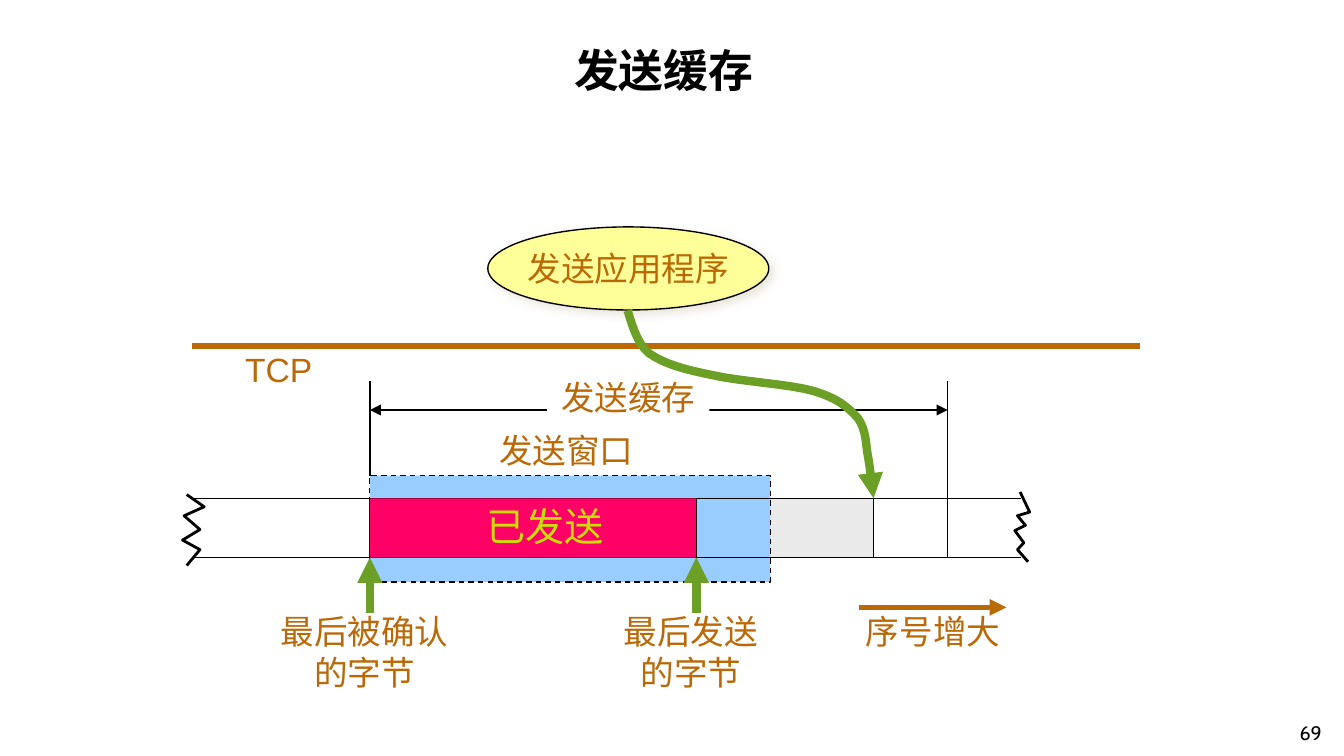
import lxml.etree
import pptx
import pptx.dml.color
import pptx.enum.dml
import pptx.enum.shapes
import pptx.enum.text
import pptx.oxml.ns
import pptx.util

Cm = pptx.util.Cm
Pt = pptx.util.Pt
SHAPE = pptx.enum.shapes.MSO_SHAPE
ALIGN = pptx.enum.text.PP_ALIGN
BLACK, BROWN, GREEN = "000000", "BA6906", "6B9F25"
LEFT, RIGHT = 3.63, 19.3
ACKED, SENT, FILLED, END = 6.99, 13.16, 16.51, 17.91
TOP, BASE = 9.42, 10.54
FLOW = [(11.86, 5.87), (11.91, 5.99), (12.01, 6.48), (12.27, 6.68),
        (12.55, 6.88), (12.95, 6.99), (13.46, 7.09),
        (13.97, 7.21), (14.91, 7.26), (15.37, 7.39),
        (15.82, 7.52), (16.03, 7.7), (16.21, 7.9),
        (16.38, 8.13), (16.36, 8.41), (16.41, 8.66),
        (16.46, 8.92), (16.48, 9.27), (FILLED, TOP)]
TEARS = [
    [(19.28, 9.3), (19.46, 9.68), (19.23, 9.75), (19.38, 9.93),
     (19.18, 10.03), (19.35, 10.26), (19.23, 10.39), (19.43, 10.62)],
    [(3.53, 9.35), (3.86, 9.58), (3.48, 9.75), (3.78, 10.01),
     (3.45, 10.21), (3.78, 10.39), (3.53, 10.69)],
]


def color(code):
    """Turn a hex string into a colour."""
    return pptx.dml.color.RGBColor.from_string(code)


def add(parent, tag, **attrs):
    """Append a drawing element to a parent element."""
    node = lxml.etree.SubElement(parent, pptx.oxml.ns.qn(tag))
    for key, value in attrs.items():
        node.set(key, str(value))
    return node


def stroke(line, tint, width, ends=()):
    """Set colour, width and arrowheads of a line."""
    line.color.rgb = color(tint)
    line.width = Pt(width)
    for end in ends:
        add(line.fill._xPr, f"a:{end}End", type="triangle")


def write(frame, text, size=18, font="Arial", tint=BROWN, bold=False,
          align=ALIGN.CENTER, wrap=False, middle=False, space=None):
    """Put formatted text into a text frame."""
    frame.text = text
    frame.word_wrap = wrap
    if middle:
        frame.vertical_anchor = pptx.enum.text.MSO_ANCHOR.MIDDLE
    for para in frame.paragraphs:
        para.alignment = align
        para.line_spacing = space
        for run in para.runs:
            run.font.size = Pt(size)
            run.font.name = font
            run.font.bold = bold
            run.font.color.rgb = color(tint)


def label(slide, text, x, y, wide, high=1.02, **form):
    """Add a text box."""
    box = slide.shapes.add_textbox(Cm(x), Cm(y), Cm(wide), Cm(high))
    write(box.text_frame, text, **form)
    return box


def block(slide, kind, x, y, wide, high, fill, edge=None):
    """Add a filled shape."""
    shape = slide.shapes.add_shape(kind, Cm(x), Cm(y), Cm(wide), Cm(high))
    shape.shadow.inherit = False
    shape.fill.solid()
    shape.fill.fore_color.rgb = color(fill)
    if edge:
        stroke(shape.line, edge, 0.75)
    else:
        shape.line.fill.background()
    return shape


def rule(slide, x1, y1, x2, y2, tint=BLACK, width=0.75, ends=()):
    """Add a straight line or arrow."""
    link = slide.shapes.add_connector(
        pptx.enum.shapes.MSO_CONNECTOR.STRAIGHT, Cm(x1), Cm(y1), Cm(x2), Cm(y2))
    stroke(link.line, tint, width, ends)
    add(link._element.spPr, "a:effectLst")


def trace(slide, points, tint, width, ends=()):
    """Add an open outline through points."""
    spots = [(Cm(x), Cm(y)) for x, y in points]
    build = slide.shapes.build_freeform(*spots[0])
    build.add_line_segments(spots[1:], close=False)
    shape = build.convert_to_shape()
    shape.shadow.inherit = False
    shape.fill.background()
    stroke(shape.line, tint, width, ends)


def curve(knots, steps=8):
    """Sample a chain of cubic curves."""
    points = [knots[0]]
    for i in range(0, len(knots) - 1, 3):
        for n in range(1, steps + 1):
            t = n / steps
            parts = ((1 - t) ** 3, 3 * t * (1 - t) ** 2, 3 * t * t * (1 - t), t ** 3)
            points.append(tuple(
                sum(p * knot[axis] for p, knot in zip(parts, knots[i:i + 4]))
                for axis in (0, 1)))
    return points


def shade(shape):
    """Give a shape a soft shadow."""
    effect = shape._element.spPr.find(pptx.oxml.ns.qn("a:effectLst"))
    drop = add(effect, "a:outerShdw", blurRad=Pt(5), dist=Pt(3), dir=2700000)
    tint = add(drop, "a:srgbClr", val="E3DED1")
    add(tint, "a:alpha", val=75000)


def head(slide):
    """Place the title and page number."""
    title = slide.shapes.title
    title.left, title.top, title.width, title.height = Cm(5.46), Cm(0.46), Cm(14.17), Cm(1.85)
    write(title.text_frame, "发送缓存", size=24, font="Times New Roman",
          tint=BLACK, bold=True, wrap=True, middle=True, space=0.9)
    label(slide, "69", 24.31, 13.51, 1.07, 0.76, size=10.5, font="Cabin",
          tint=BLACK, align=ALIGN.LEFT, wrap=True)


def buffer(slide):
    """Draw the byte stream with its window."""
    high = BASE - TOP
    block(slide, SHAPE.RECTANGLE, SENT, TOP, FILLED - SENT, high, "EAEAEA")
    window = block(slide, SHAPE.RECTANGLE, ACKED, 8.99, 7.57, 2.01, "99CCFF", BLACK)
    window.line.dash_style = pptx.enum.dml.MSO_LINE.DASH
    for y in (TOP, BASE):
        rule(slide, LEFT, y, RIGHT, y)
    for x in (ACKED, SENT, FILLED):
        rule(slide, x, TOP, x, BASE)
    block(slide, SHAPE.RECTANGLE, ACKED, TOP, SENT - ACKED, high, "FF0066")
    label(slide, "已发送", 8.92, 9.37, 2.77, 1.14, size=21, tint="C9DE06")
    for tear in TEARS:
        trace(slide, tear, BLACK, 1.5)


def span(slide):
    """Mark the extent of the send buffer."""
    rule(slide, ACKED, 7.75, END, 7.75, ends=("head", "tail"))
    rule(slide, ACKED, 7.21, ACKED, 8.99)
    rule(slide, END, 7.21, END, BASE)
    name = block(slide, SHAPE.RECTANGLE, 10.34, 6.99, 3.07, 1.02, "FFFFFF")
    write(name.text_frame, "发送缓存")
    label(slide, "发送窗口", 9.17, 8, 3.07)


def main():
    """Build the slide and save it."""
    deck = pptx.Presentation()
    deck.slide_width, deck.slide_height = Cm(25.4), Cm(14.29)
    slide = deck.slides.add_slide(deck.slide_layouts[5])
    head(slide)
    sender = block(slide, SHAPE.OVAL, 9.22, 4.29, 5.31, 1.57, "FFFF99", BLACK)
    shade(sender)
    write(sender.text_frame, "发送应用程序", middle=True)
    rule(slide, LEFT, 6.54, 21.54, 6.54, BROWN, 3)
    label(slide, "TCP", 4.37, 6.48, 1.8)
    buffer(slide)
    span(slide)
    for x, text, wide in ((ACKED, "最后被确认\n的字节", 3.71),
                          (SENT, "最后发送\n的字节", 3.07)):
        rule(slide, x, 11.58, x, BASE, GREEN, 4.5, ["tail"])
        label(slide, text, x - wide / 2 - 0.1, 11.43, wide, 1.8)
    trace(slide, curve(FLOW), GREEN, 4.5, ["tail"])
    rule(slide, 16.23, 11.48, 19.02, 11.48, BROWN, 3, ["tail"])
    label(slide, "序号增大", 16.1, 11.43, 3.07)
    deck.save("out.pptx")


if __name__ == "__main__":
    main()
